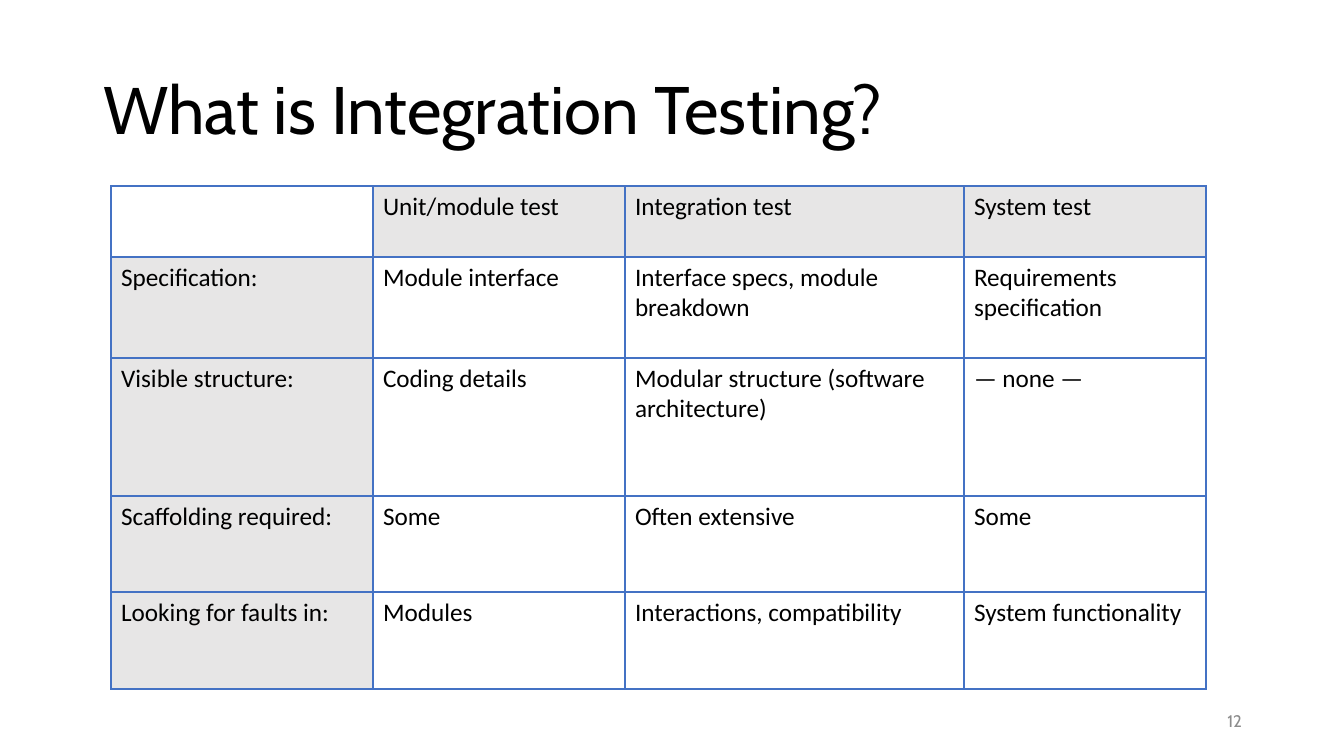
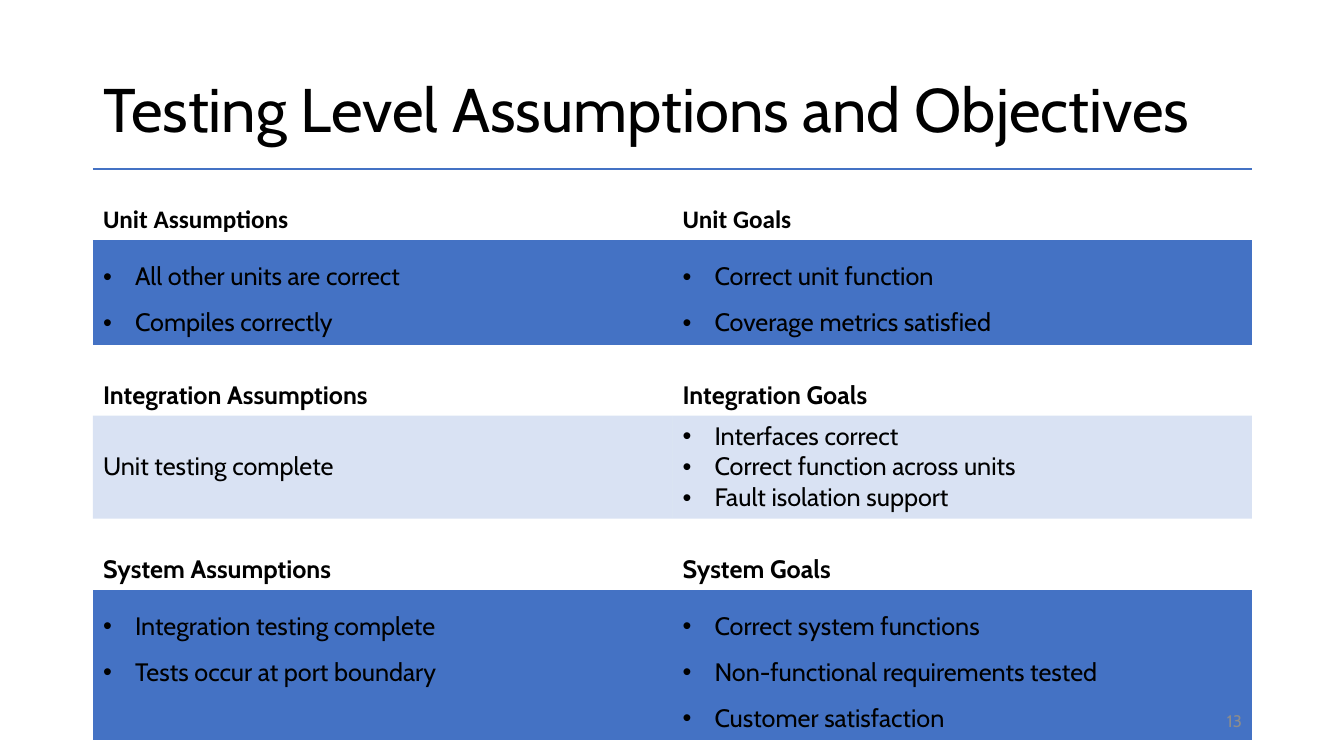
from lxml.etree import SubElement
from pptx import Presentation
from pptx.dml.color import RGBColor
from pptx.enum.text import MSO_ANCHOR, MSO_AUTO_SIZE, PP_ALIGN
from pptx.oxml.ns import qn
from pptx.util import Emu, Pt

BLACK = RGBColor(0x00, 0x00, 0x00)
GRAY = RGBColor(0x8C, 0x8C, 0x8C)
SILVER = RGBColor(0xE7, 0xE6, 0xE6)
BLUE = RGBColor(0x44, 0x72, 0xC4)
CABIN, PLAIN = "Cabin", "Calibri"
NO_STYLE = "{2D5ABB26-0587-4C30-8999-92F81FD0307C}"

# Boxes in px: left, top, width, height
TITLE = (93, 40, 1159, 146)
NUMBER = (950, 701, 302, 40)
MATRIX = (111, 186, 1095, 503)
LEVELS = (93, 169, 1159, 569)

TESTS = [
    ["", "Unit/module test", "Integration test", "System test"],
    ["Specification:", "Module interface", "Interface specs, module breakdown",
     "Requirements specification"],
    ["Visible structure:", "Coding details",
     "Modular structure (software architecture)", "— none —"],
    ["Scaffolding required:", "Some", "Often extensive", "Some"],
    ["Looking for faults in:", "Modules", "Interactions, compatibility",
     "System functionality"],
]

# Level name, header font, bullet spacing, assumptions, goals
STAGES = [
    ("Unit", PLAIN, 1.5,
     ["All other units are correct", "Compiles correctly"],
     ["Correct unit function", "Coverage metrics satisfied"]),
    ("Integration", CABIN, 1.0,
     ["Unit testing complete"],
     ["Interfaces correct", "Correct function across units",
      "Fault isolation support"]),
    ("System", CABIN, 1.5,
     ["Integration testing complete", "Tests occur at port boundary"],
     ["Correct system functions", "Non-functional requirements tested",
      "Customer satisfaction"]),
]


def px(n):
    return Emu(round(n * 914400 / 100.8))


def add_run(para, text, size=18, font=CABIN, color=BLACK, bold=False):
    run = para.add_run()
    run.text = text
    run.font.size = Pt(size)
    run.font.name = font
    run.font.bold = bold
    run.font.color.rgb = color


def add_bullet(para):
    props = para._p.get_or_add_pPr()
    props.set("marL", str(px(32)))
    props.set("indent", str(-px(32)))
    SubElement(props, qn("a:buFont"), typeface="Arial")
    SubElement(props, qn("a:buChar"), char="•")


def add_edges(cell, sides):
    """Draw blue cell borders; call before the cell is filled."""
    props = cell._tc.get_or_add_tcPr()
    for side in sides:
        line = SubElement(props, qn("a:ln" + side), w=str(Pt(1)))
        fill = SubElement(line, qn("a:solidFill"))
        SubElement(fill, qn("a:srgbClr"), val=str(BLUE))


def fill_cell(cell, color=None, alpha=None):
    if color is None:
        cell.fill.background()
        return
    cell.fill.solid()
    cell.fill.fore_color.rgb = color
    if alpha:
        tint = cell._tc.tcPr.find(".//" + qn("a:srgbClr"))
        SubElement(tint, qn("a:alpha"), val=str(alpha * 1000))


def add_grid(slide, box, cols, rows):
    """Add an unstyled table with the given column and row sizes."""
    table = slide.shapes.add_table(len(rows), len(cols), *map(px, box)).table
    table.first_row = table.horz_banding = False
    table._tbl.tblPr.find(qn("a:tableStyleId")).text = NO_STYLE
    for col, width in zip(table.columns, cols):
        col.width = px(width)
    for row, height in zip(table.rows, rows):
        row.height = px(height)
    return table


def place(shape, box):
    shape.left, shape.top, shape.width, shape.height = map(px, box)


def add_title(slide, box, text, size):
    title = slide.shapes.title
    place(title, box)
    frame = title.text_frame
    frame.auto_size = MSO_AUTO_SIZE.NONE
    frame.word_wrap = True
    frame.vertical_anchor = MSO_ANCHOR.MIDDLE
    para = frame.paragraphs[0]
    para.alignment = PP_ALIGN.LEFT
    para.line_spacing = 0.9
    add_run(para, text, size)


def add_number(slide, box, number):
    frame = slide.shapes.add_textbox(*map(px, box)).text_frame
    frame.word_wrap = True
    frame.vertical_anchor = MSO_ANCHOR.MIDDLE
    para = frame.paragraphs[0]
    para.alignment = PP_ALIGN.RIGHT
    add_run(para, str(number), 12, color=GRAY)


def add_matrix(slide, box):
    """Compare the test levels, with shaded row and column heads."""
    table = add_grid(slide, box, [262, 252, 339, 242], [71, 101, 138, 96, 97])
    for r, row in enumerate(TESTS):
        for c, text in enumerate(row):
            cell = table.cell(r, c)
            add_edges(cell, "LRTB")
            head = (r == 0) != (c == 0)
            fill_cell(cell, SILVER if head else None)
            if text:
                add_run(cell.text_frame.paragraphs[0], text, font=PLAIN)


def add_list(cell, items, space):
    frame = cell.text_frame
    for i, item in enumerate(items):
        para = frame.add_paragraph() if i else frame.paragraphs[0]
        para.line_spacing = space if len(items) > 1 else 2.0
        if len(items) > 1:
            add_bullet(para)
        add_run(para, item)


def add_levels(slide, box):
    """Pair a header row with a tinted list row for each level."""
    half = box[2] / 2
    table = add_grid(slide, box, [half, half], [72, 103, 71, 103, 71, 149])
    last = len(STAGES) - 1
    for i, (name, font, space, *lists) in enumerate(STAGES):
        for c, (kind, items) in enumerate(zip(("Assumptions", "Goals"), lists)):
            head, body = table.cell(2 * i, c), table.cell(2 * i + 1, c)
            # Level header
            add_edges(head, "TB" if i == 0 else "")
            fill_cell(head)
            para = head.text_frame.paragraphs[0]
            para.line_spacing = 2.0
            add_run(para, f"{name} {kind}", font=font, bold=True)
            # Level list
            add_edges(body, "T" if i == 0 else "B" if i == last else "")
            fill_cell(body, BLUE, 20)
            add_list(body, items, space)


def add_page(deck, number, title, size, build, box):
    slide = deck.slides.add_slide(deck.slide_layouts[5])
    add_title(slide, TITLE, title, size)
    build(slide, box)
    add_number(slide, NUMBER, number)


def main():
    deck = Presentation()
    deck.slide_width, deck.slide_height = px(1344), px(756)
    add_page(deck, 12, "What is Integration Testing?", 48, add_matrix, MATRIX)
    add_page(deck, 13, "Testing Level Assumptions and Objectives", 44,
             add_levels, LEVELS)
    deck.save("out.pptx")


if __name__ == "__main__":
    main()
